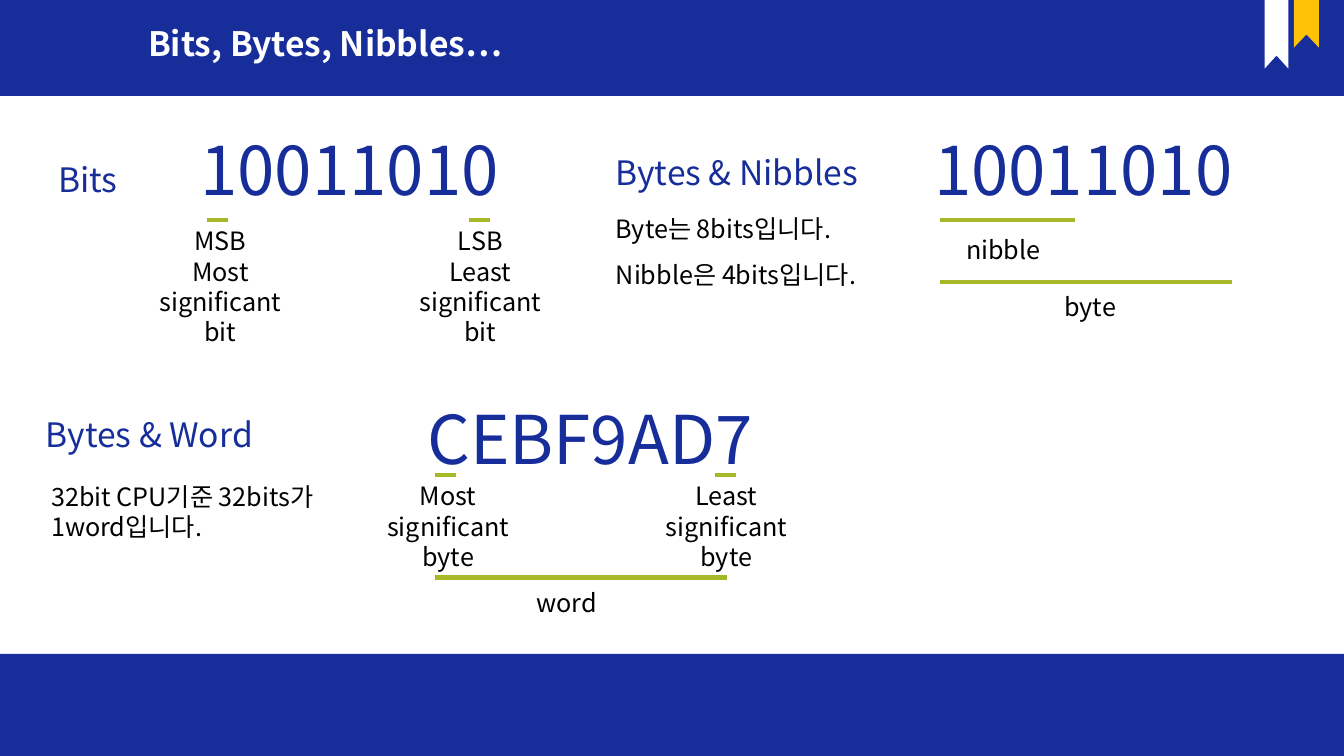
"""Build the slide that explains bits, bytes, nibbles and words."""
from lxml import etree
from pptx import Presentation
from pptx.dml.color import RGBColor
from pptx.enum.shapes import MSO_CONNECTOR, MSO_SHAPE
from pptx.enum.text import MSO_ANCHOR, PP_ALIGN
from pptx.oxml.ns import qn
from pptx.util import Cm, Pt

RECTANGLE = MSO_SHAPE.RECTANGLE
STRAIGHT = MSO_CONNECTOR.STRAIGHT
TOP = MSO_ANCHOR.TOP
LEFT, CENTER, JUSTIFY = PP_ALIGN.LEFT, PP_ALIGN.CENTER, PP_ALIGN.JUSTIFY
WIDTH, HEIGHT = 33.87, 19.05
LABEL_WIDTH = 3.89


def color(value):
    return RGBColor.from_string(value)


class Page:
    """Hold the style and the current slide."""

    font = "Noto Sans CJK KR"
    blue, green, yellow = "162D9A", "A6B727", "FEC306"
    white, black = "FFFFFF", "000000"

    def __init__(self, deck):
        self.shapes = deck.slides.add_slide(deck.slide_layouts[6]).shapes

    def paint(self, shape, fill):
        shape.shadow.inherit = False
        shape.fill.solid()
        shape.fill.fore_color.rgb = color(fill)
        shape.line.fill.background()

    def band(self, top, height):
        bar = self.shapes.add_shape(RECTANGLE, 0, Cm(top), Cm(WIDTH), Cm(height))
        self.paint(bar, self.blue)

    def ribbon(self, left, width, length, fill):
        notch = length - 0.33
        right, middle = left + width, left + width / 2
        outline = [(right, 0), (right, length), (middle, notch), (left, length)]
        builder = self.shapes.build_freeform(Cm(left), 0)
        builder.add_line_segments([(Cm(x), Cm(y)) for x, y in outline])
        self.paint(builder.convert_to_shape(), fill)

    def text(self, lines, left, top, width, height, size=18, ink=black,
             align=LEFT, bold=False):
        box = self.shapes.add_textbox(Cm(left), Cm(top), Cm(width), Cm(height))
        frame = box.text_frame
        frame.word_wrap = True
        frame.vertical_anchor = TOP
        frame.text = lines
        for para in frame.paragraphs:
            para.alignment = align
            para.font.name = self.font
            para.font.size = Pt(size)
            para.font.bold = bold
            para.font.color.rgb = color(ink)
            defaults = para.font._element if hasattr(para.font, "_element") else para._p.pPr.find(qn("a:defRPr"))
            etree.SubElement(defaults, qn("a:ea"), typeface=self.font)
        return frame

    def display(self, words, left, top, width, height=1.32, size=24,
                ink=blue, align=JUSTIFY, bold=False):
        frame = self.text(words, left, top, width, height, size, ink, align, bold)
        para = frame.paragraphs[0]
        para.line_spacing = 0.9
        para.space_before = Pt(10)

    def number(self, digits, left, top, width):
        self.display(digits, left, top, width, 2.21, 48)

    def label(self, lines, left, top):
        height = 0.25 + 0.77 * len(lines.split("\n"))
        self.text(lines, left, top, LABEL_WIDTH, height, align=CENTER)

    def rule(self, left, top, length):
        line = self.shapes.add_connector(
            STRAIGHT, Cm(left), Cm(top), Cm(left + length), Cm(top))
        line.line.color.rgb = color(self.green)
        line.line.width = Pt(3)
        etree.SubElement(line._element.spPr, qn("a:effectLst"))


deck = Presentation()
deck.slide_width, deck.slide_height = Cm(WIDTH), Cm(HEIGHT)
page = Page(deck)

page.band(0, 2.42)
page.ribbon(32.61, 0.63, 1.2, page.yellow)
page.ribbon(31.87, 0.6, 1.73, page.white)
page.band(16.48, HEIGHT - 16.48)
page.display("Bits, Bytes, Nibbles…", 0.56, 0.56, 15.27, 1.42,
             ink=page.white, align=CENTER, bold=True)

for heading, left, top, width in [
    ("Bits", 1.22, 3.99, 2.03),
    ("Bytes & Nibbles", 15.27, 3.81, 8.03),
    ("Bytes & Word", 0.91, 10.41, 8.03),
]:
    page.display(heading, left, top, width)

for digits, left, top, width in [
    ("10011010", 4.8, 3.35, 8.38),
    ("10011010", 23.29, 3.35, 8.38),
    ("CEBF9AD7", 10.52, 10.11, 9.3),
]:
    page.number(digits, left, top, width)

for left, top, length in [
    (5.21, 5.54, 0.53), (11.81, 5.54, 0.53),
    (23.7, 5.54, 3.38), (23.7, 7.11, 7.34),
    (10.97, 11.96, 0.53), (18.01, 11.96, 0.53), (10.97, 14.55, 7.34),
]:
    page.rule(left, top, length)

for lines, left, top in [
    ("MSB\nMost\nsignificant\nbit", 3.61, 5.56),
    ("LSB\nLeast\nsignificant\nbit", 10.16, 5.56),
    ("nibble", 23.34, 5.79),
    ("byte", 25.53, 7.21),
    ("Most\nsignificant\nbyte", 9.35, 11.99),
    ("Least\nsignificant\nbyte", 16.36, 11.99),
    ("word", 12.34, 14.68),
]:
    page.label(lines, left, top)

for sentence, left, top, width, height in [
    ("Byte는 8bits입니다.", 15.27, 5.26, 6.45, 1.02),
    ("Nibble은 4bits입니다.", 15.27, 6.4, 7.14, 1.02),
    ("32bit CPU기준 32bits가 1word입니다.", 1.04, 12.01, 7.87, 1.8),
]:
    page.text(sentence, left, top, width, height)

deck.save("out.pptx")
